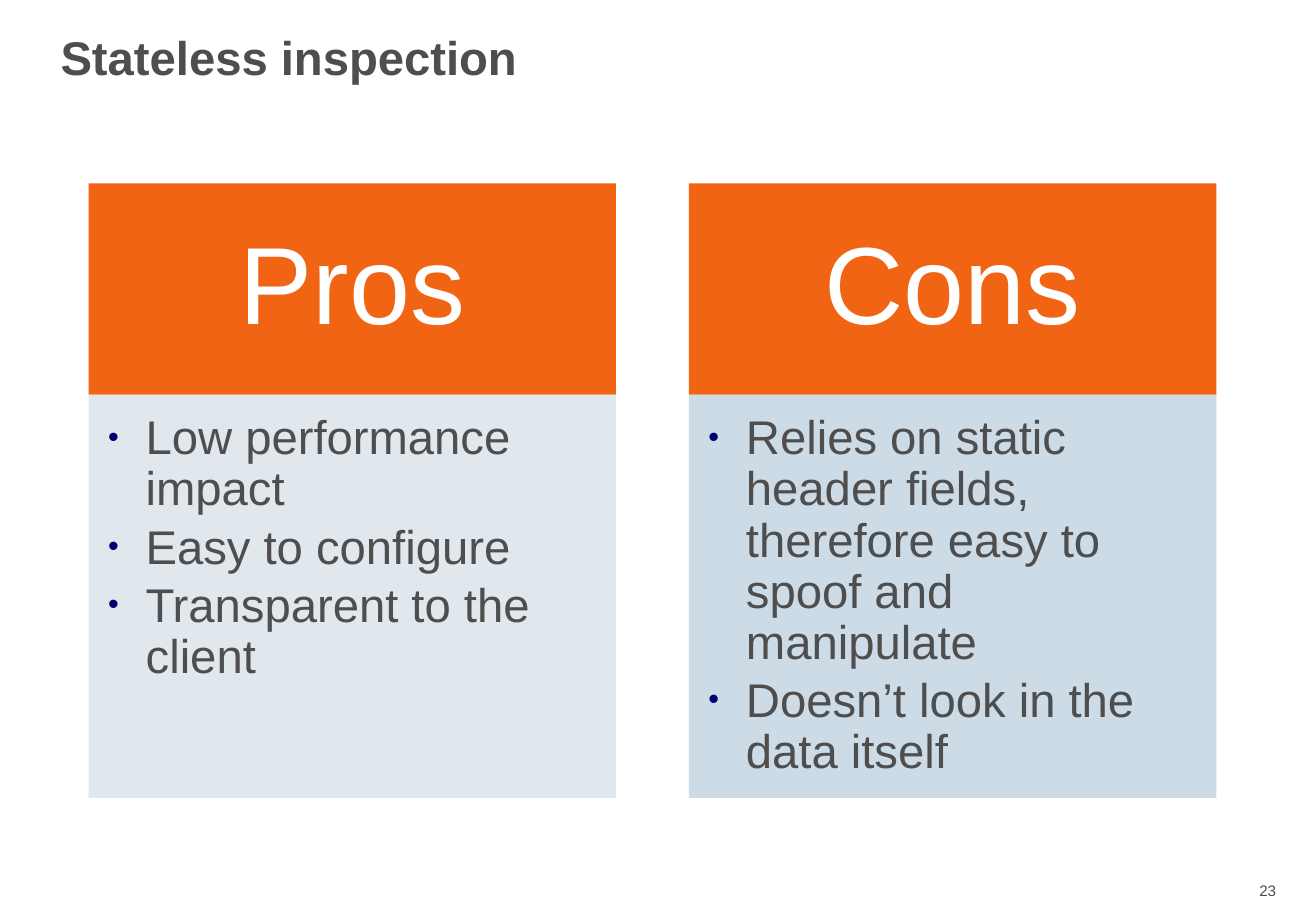
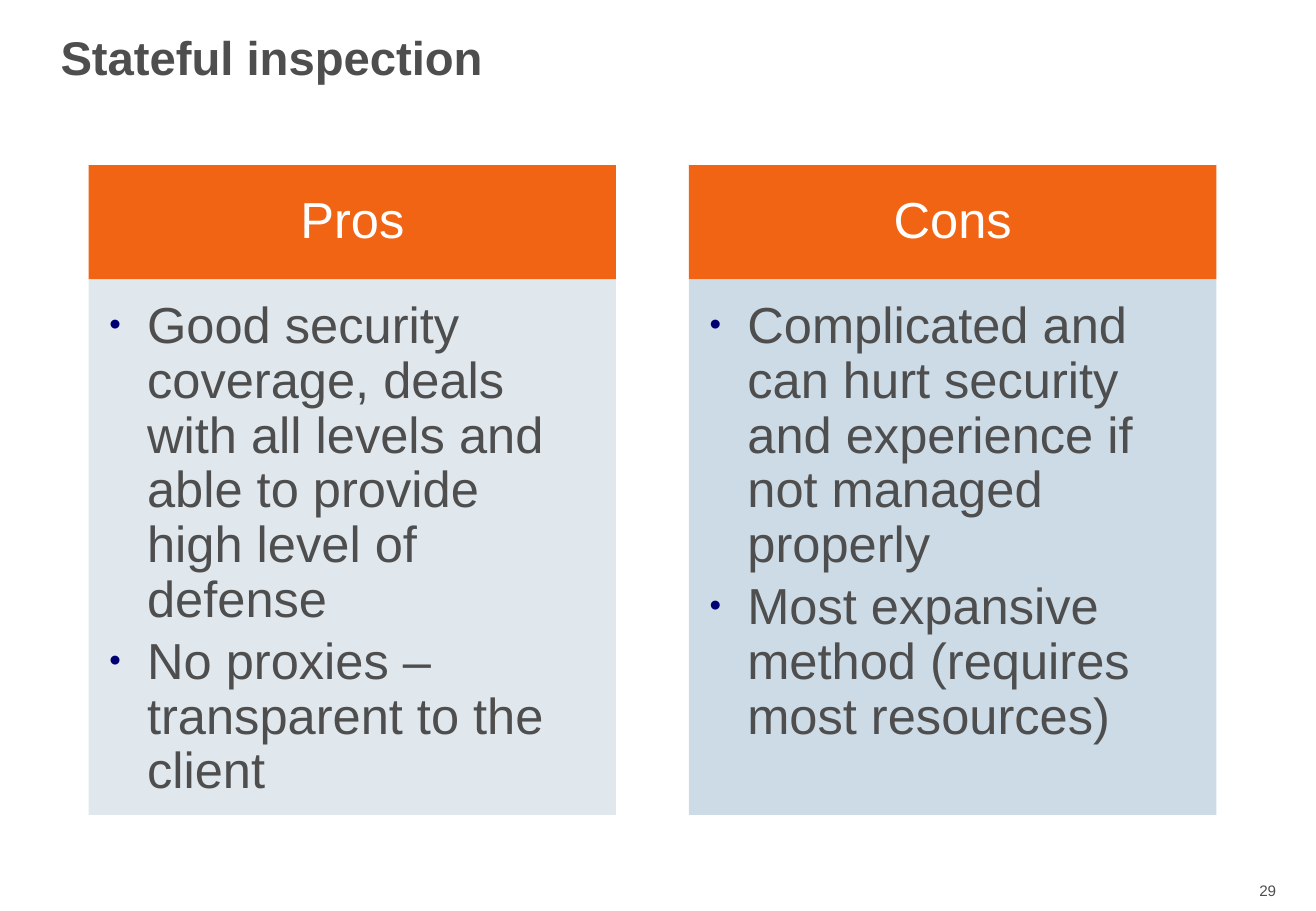
import pptx
import pptx.util
import pptx.dml.color
import pptx.enum.shapes
import pptx.enum.text
import pptx.oxml.ns
import lxml.etree

# Shared look
WIDE, HIGH = 10.83, 7.5
FONT = "Arial"
INK, WHITE, ORANGE, NAVY = "4E4E4E", "FFFFFF", "F06414", "000073"
TINTS = ["DDE6ED", "C8D8E4"]
HEADS = ["Pros", "Cons"]
LEFT, SPAN, GAP = 0.73, 9.28, 0.6
# Insets (left, top, right, bottom) as shares of the text size
HEAD_PAD = (0.56, 0.32, 0.56, 0.32)
BODY_PAD = (0.41, 0.41, 0.55, 0.62)

ALIGN = pptx.enum.text.PP_ALIGN
ANCHOR = pptx.enum.text.MSO_ANCHOR
Pt = pptx.util.Pt

# head: share of the panel height taken by the header
SLIDES = [
    dict(title="Stateless inspection", page="23", top=1.51, high=5.06,
         head=1.74 / 5.06, head_size=65, size=28,
         lists=[["Low performance impact", "Easy to configure",
                 "Transparent to the client"],
                ["Relies on static header fields, therefore easy to spoof "
                 "and manipulate", "Doesn’t look in the data itself"]]),
    dict(title="Stateful inspection", page="29", top=1.36, high=5.35,
         head=0.94 / 5.35, head_size=30, size=30,
         lists=[["Good security coverage, deals with all levels and able to "
                 "provide high level of defense",
                 "No proxies – transparent to the client"],
                ["Complicated and can hurt security and experience if not "
                 "managed properly",
                 "Most expansive method (requires most resources)"]]),
]


def paint(color, text):
    color.rgb = pptx.dml.color.RGBColor.from_string(text)


def inch(box):
    return [pptx.util.Inches(side) for side in box]


def add_bullet(par):
    props = par._p.get_or_add_pPr()
    props.set("marL", str(pptx.util.Inches(0.31)))
    props.set("indent", str(-pptx.util.Inches(0.31)))

    def add(parent, tag, **attrs):
        name = pptx.oxml.ns.qn("a:" + tag)
        return lxml.etree.SubElement(parent, name, attrs)

    add(add(props, "buClr"), "srgbClr", val=NAVY)
    add(props, "buSzPct", val="65000")
    add(props, "buFont", typeface=FONT)
    add(props, "buChar", char="•")


def write(frame, lines, size, color=INK, bold=False, align=ALIGN.LEFT,
          anchor=ANCHOR.TOP, pitch=0.9, pad=None, bullet=False):
    frame.word_wrap = True
    frame.vertical_anchor = anchor
    if pad:
        (frame.margin_left, frame.margin_top, frame.margin_right,
         frame.margin_bottom) = [Pt(share * size) for share in pad]
    for i, line in enumerate(lines):
        par = frame.add_paragraph() if i else frame.paragraphs[0]
        par.text = line
        par.alignment = align
        par.line_spacing = pitch
        if bullet:
            par.space_after = Pt(0.15 * size)
            add_bullet(par)
        par.font.name, par.font.size, par.font.bold = FONT, Pt(size), bold
        paint(par.font.color, color)


def add_block(slide, box, fill, alpha=None):
    kind = pptx.enum.shapes.MSO_SHAPE.RECTANGLE
    block = slide.shapes.add_shape(kind, *inch(box))
    block.shadow.inherit = False
    block.line.fill.background()
    block.fill.solid()
    paint(block.fill.fore_color, fill)
    if alpha:
        tone = block._element.spPr.find(".//" + pptx.oxml.ns.qn("a:srgbClr"))
        lxml.etree.SubElement(tone, pptx.oxml.ns.qn("a:alpha"),
                              val=str(alpha * 1000))
    return block.text_frame


def add_panel(slide, box, name, items, tint, data):
    x, y, w, h = box
    cut = h * data["head"]
    # Header
    write(add_block(slide, (x, y, w, cut), ORANGE), [name],
          data["head_size"], WHITE, align=ALIGN.CENTER,
          anchor=ANCHOR.MIDDLE, pad=HEAD_PAD)
    # Bulleted body
    write(add_block(slide, (x, y + cut, w, h - cut), tint, alpha=90), items,
          data["size"], pad=BODY_PAD, bullet=True)


def add_frame(slide, title, page):
    # Page number, then title
    foot = slide.shapes.add_textbox(*inch((9.88, 7.21, 0.72, 0.25)))
    write(foot.text_frame, [page], 9, align=ALIGN.RIGHT, pitch=1.0)
    head = slide.shapes.add_textbox(*inch((0.4, 0, WIDE * 0.75, 1)))
    write(head.text_frame, [title], 28, bold=True, anchor=ANCHOR.MIDDLE,
          pitch=0.85)


def add_slide(deck, data):
    slide = deck.slides.add_slide(deck.slide_layouts[6])
    add_frame(slide, data["title"], data["page"])
    col = (SPAN - GAP) / 2
    for i, (name, items, tint) in enumerate(zip(HEADS, data["lists"], TINTS)):
        box = (LEFT + i * (col + GAP), data["top"], col, data["high"])
        add_panel(slide, box, name, items, tint, data)


def main():
    deck = pptx.Presentation()
    deck.slide_width, deck.slide_height = inch((WIDE, HIGH))
    for data in SLIDES:
        add_slide(deck, data)
    deck.save("out.pptx")


if __name__ == "__main__":
    main()
